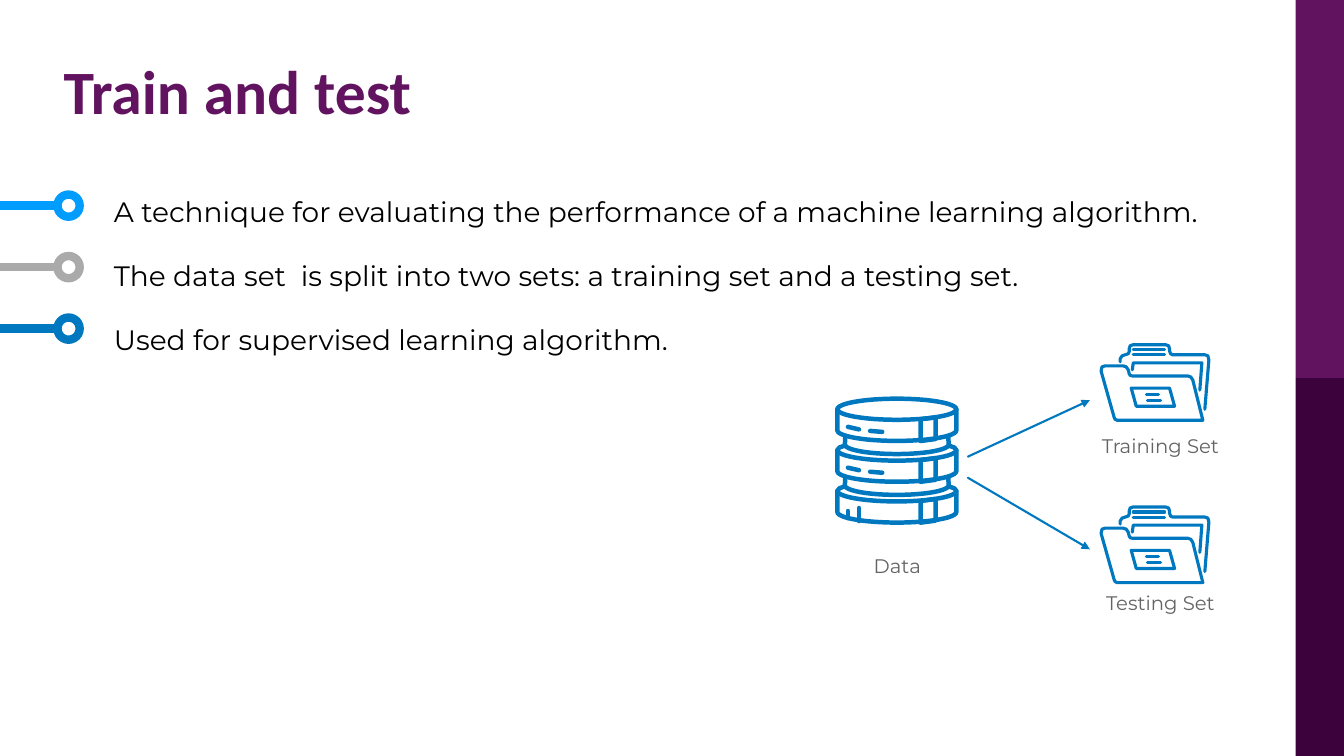
import math
from dataclasses import dataclass

import pptx
import pptx.dml.color
import pptx.enum.shapes
import pptx.enum.text
import pptx.oxml
import pptx.oxml.ns
import pptx.util

SHAPE = pptx.enum.shapes.MSO_SHAPE
ALIGN = pptx.enum.text.PP_ALIGN
TOP = pptx.enum.text.MSO_ANCHOR.TOP
qn = pptx.oxml.ns.qn


@dataclass(frozen=True)
class Theme:
    plum: str = "621360"
    dark: str = "3C023C"
    white: str = "FFFFFF"
    black: str = "000000"
    gray: str = "646464"
    blue: str = "0078BF"
    marks: tuple = ("009DFF", "ABAAAA", "0078BF")
    head: str = "Calibri"
    body: str = "Montserrat"
    title: float = 44
    text: float = 20
    label: float = 14
    bar: float = 6
    drum: float = 3.2
    file: float = 2.25
    arrow: float = 1.5


@dataclass(frozen=True)
class Box:
    left: float
    top: float
    width: float
    height: float
    cols: float = 1
    rows: float = 1

    def spot(self, col, row):
        return (pptx.util.Inches(self.left + self.width * col / self.cols),
                pptx.util.Inches(self.top + self.height * row / self.rows))

    def frame(self):
        return [pptx.util.Inches(n) for n in (self.left, self.top, self.width, self.height)]


THEME = Theme()
PAGE = Box(0, 0, 13.33, 7.5)


def tint(code):
    return pptx.dml.color.RGBColor.from_string(code)


def ink(shape, code, width):
    shape.line.color.rgb = tint(code)
    shape.line.width = pptx.util.Pt(width)
    shape._element.spPr.find(qn("a:ln")).set("cap", "rnd")


def rule(slide, box, start, end, code, width, arrow=False):
    line = slide.shapes.add_connector(
        pptx.enum.shapes.MSO_CONNECTOR.STRAIGHT, *box.spot(*start), *box.spot(*end))
    ink(line, code, width)
    props = line._element.spPr
    if arrow:
        tip = pptx.oxml.parse_xml(f'<a:tailEnd {pptx.oxml.ns.nsdecls("a")} type="triangle"/>')
        props.find(qn("a:ln")).append(tip)
    props.append(pptx.oxml.parse_xml(f'<a:effectLst {pptx.oxml.ns.nsdecls("a")}/>'))


def trace(slide, box, points, width, close=False):
    first, *rest = [box.spot(*point) for point in points]
    form = slide.shapes.build_freeform(*first)
    form.add_line_segments(rest, close=close)
    shape = form.convert_to_shape()
    shape.shadow.inherit = False
    shape.fill.background()
    ink(shape, THEME.blue, width)


def bow(mid, row, wide, high, start=180, end=0, steps=24):
    turns = [math.radians(start + (end - start) * i / steps) for i in range(steps + 1)]
    return [(mid + wide * math.cos(t), row + high * math.sin(t)) for t in turns]


def style(para, font, size, code):
    para.font.name = font
    para.font.size = pptx.util.Pt(size)
    para.font.color.rgb = tint(code)


def stripe(slide, box):
    left, top, width, height = box.frame()
    for row, code in enumerate((THEME.plum, THEME.dark)):
        bar = slide.shapes.add_shape(SHAPE.RECTANGLE, left, top + row * height // 2,
                                     width, height // 2)
        bar.shadow.inherit = False
        bar.fill.solid()
        bar.fill.fore_color.rgb = tint(code)
        bar.line.fill.background()


def header(slide, box, text):
    title = slide.shapes.title
    title.left, title.top, title.width, title.height = box.frame()
    title.text_frame.text = text
    title.text_frame.vertical_anchor = TOP
    para = title.text_frame.paragraphs[0]
    para.alignment = ALIGN.LEFT
    para.line_spacing = 0.82
    style(para, THEME.head, THEME.title, THEME.plum)
    para.font.bold = True


def points(slide, box, lines):
    frame = slide.shapes.add_textbox(*box.frame()).text_frame
    frame.word_wrap = True
    frame.margin_left = frame.margin_top = frame.margin_right = frame.margin_bottom = 0
    frame.text = "\n".join(lines)
    for row, para in enumerate(frame.paragraphs):
        para.line_spacing = 1.4
        para.space_before = pptx.util.Pt(12 if row else 0)
        style(para, THEME.body, THEME.text, THEME.black)


def pins(slide, box):
    size = pptx.util.Inches(0.22)
    for row, code in enumerate(THEME.marks):
        rule(slide, box, (0, row), (1, row), code, THEME.bar)
        x, y = box.spot(1, row)
        ring = slide.shapes.add_shape(SHAPE.FLOWCHART_CONNECTOR,
                                      x - size // 2, y - size // 2, size, size)
        ring.shadow.inherit = False
        ring.fill.solid()
        ring.fill.fore_color.rgb = tint(THEME.white)
        ink(ring, code, THEME.bar)


def label(slide, box, text):
    frame = slide.shapes.add_textbox(*box.frame()).text_frame
    frame.word_wrap = False
    frame.text = text
    para = frame.paragraphs[0]
    para.alignment = ALIGN.CENTER
    style(para, THEME.body, THEME.label, THEME.gray)


def drum(slide, box):
    mid, wide, high, step = 61.5, 59, 10.5, 40.5
    left, right = mid - wide, mid + wide
    trace(slide, box, bow(mid, 13, wide, high, 0, 360, 48), THEME.drum, True)
    for tier in range(3):
        row = 13 + tier * step
        trace(slide, box, [(left, row)] + bow(mid, row + 21, wide, high) + [(right, row)],
              THEME.drum)
        trace(slide, box, [(85, row + 10), (100, row + 8), (100, row + 29.5),
                           (85, row + 31.5)], THEME.drum, True)
        if tier:
            lip = [(10, row - 4.5), (4.5, row - 2.5)]
            back = [(2 * mid - x, y) for x, y in reversed(lip)]
            trace(slide, box, lip + bow(mid, row, wide, high) + back, THEME.drum)
            trace(slide, box, [(10.5, row - 14)] + bow(mid, row - 5.5, 51.5, 9.5)
                  + [(112.5, row - 14)], THEME.drum)
        if tier < 2:
            marks = [((13, row + 17.5), (24, row + 20)), ((35, row + 21.5), (47, row + 22.5))]
        else:
            marks = [((13, row + 20), (13, row + 27)), ((24, row + 17), (24, row + 30))]
        for start, end in marks:
            rule(slide, box, start, end, THEME.blue, THEME.drum)


def folder(slide, box):
    back = [(103, 64), (107, 15), (106, 11), (103, 10), (71, 10), (69, 9), (68, 6),
            (68, 4), (67, 1), (64, 0), (32, 0), (29, 1), (28, 4), (28, 7), (27, 9),
            (24, 10), (21, 11), (19, 14), (19, 17)]
    front = [(31, 31), (86, 31), (89, 32), (91, 35), (101, 75), (16, 75), (14, 74),
             (13, 72), (0, 26), (1, 22), (4, 21), (22, 21), (25, 22), (27, 25),
             (28, 29), (29, 30.5)]
    sheet = [(31, 25), (32, 18), (100, 18), (98, 45)]
    tag = [(73, 61), (68, 43), (30, 43), (35, 61)]
    for path, close in ((back, False), (front, True), (sheet, False), (tag, True)):
        trace(slide, box, path, THEME.file, close)
    for left, right, row in ((32, 63, 5), (32, 63, 10), (45, 57, 49), (46, 59, 55)):
        rule(slide, box, (left, row), (right, row), THEME.blue, THEME.file)


def split(slide, box):
    x, y = box.left, box.top
    drum(slide, Box(x, y + 0.51, 1.23, 1.28, 123, 128))
    label(slide, Box(x + 0.28, y + 2.03, 0.68, 0.34), "Data")
    sets = (("Training Set", 0, 0.84, 1.11, 0.55), ("Testing Set", 1.61, 2.39, 1.32, 2.03))
    for text, top, foot, start, end in sets:
        folder(slide, Box(x + 2.64, y + top, 1.07, 0.75, 107, 75))
        label(slide, Box(x + 2.53, y + foot, 1.4, 0.34), text)
        rule(slide, Box(x, y, 1, 1), (1.32, start), (2.53, end), THEME.blue,
             THEME.arrow, True)


def main():
    deck = pptx.Presentation()
    deck.slide_width, deck.slide_height = PAGE.frame()[2:]
    slide = deck.slides.add_slide(deck.slide_layouts[5])
    stripe(slide, Box(12.85, 0, PAGE.width - 12.85, PAGE.height))
    header(slide, Box(0.53, 0.61, 12.19, 1.24), "Train and test")
    points(slide, Box(1.13, 1.8, 11.47, 1.95), (
        "A technique for evaluating the performance of a machine learning algorithm.",
        "The data set  is split into two sets: a training set and a testing set.",
        "Used for supervised learning algorithm."))
    pins(slide, Box(0, 2.04, 0.68, 1.22, 1, 2))
    split(slide, Box(8.28, 3.42, 3.93, 2.73))
    deck.save("out.pptx")


if __name__ == "__main__":
    main()
